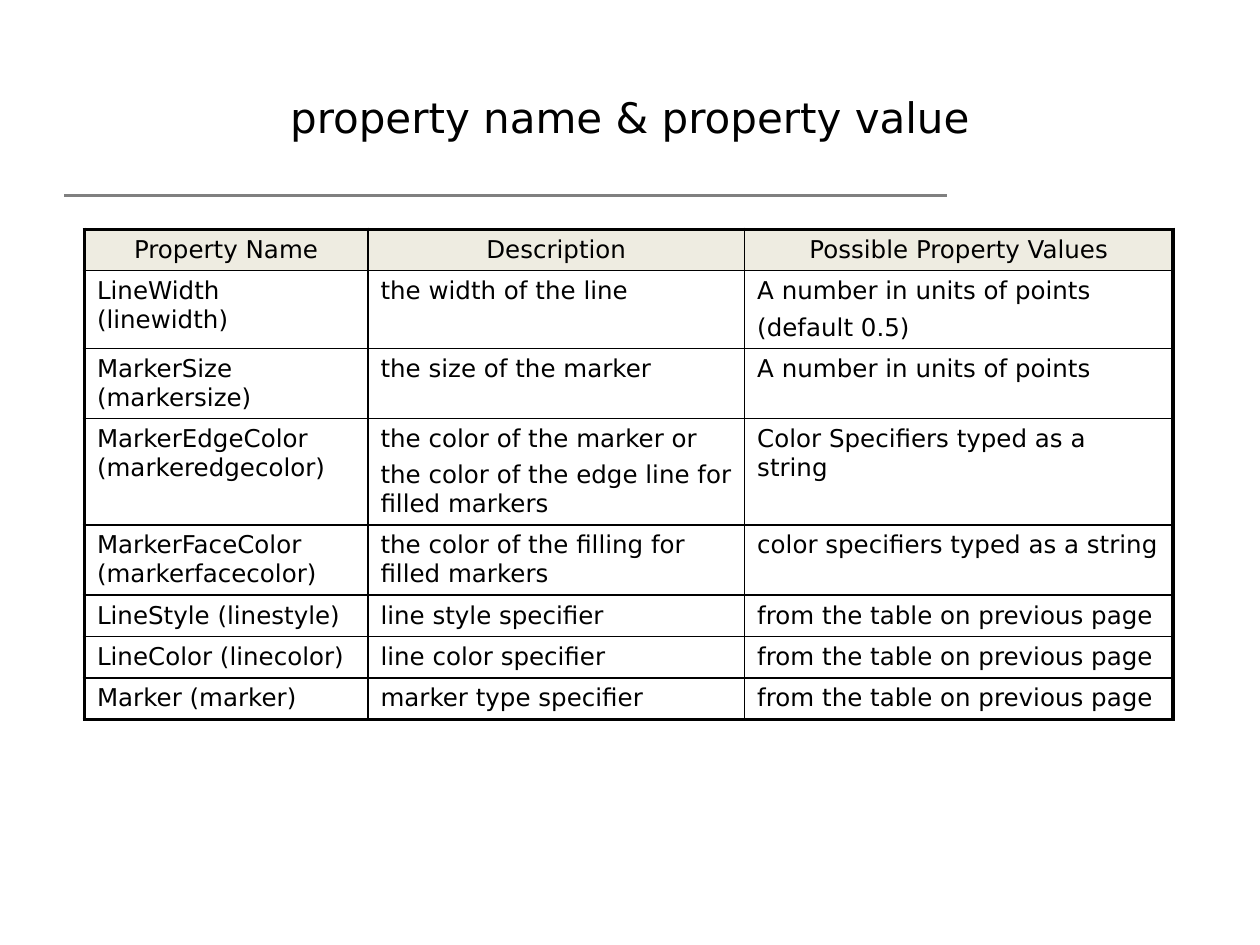
from lxml import etree
from pptx import Presentation
from pptx.dml.color import RGBColor
from pptx.enum.shapes import MSO_CONNECTOR
from pptx.enum.text import MSO_ANCHOR, PP_ALIGN
from pptx.oxml.ns import qn
from pptx.util import Inches, Pt

STRAIGHT = MSO_CONNECTOR.STRAIGHT
MIDDLE = MSO_ANCHOR.MIDDLE
LEFT, CENTER = PP_ALIGN.LEFT, PP_ALIGN.CENTER

FONT = "DejaVu Sans"
BLACK, GRAY, HEADER_FILL = "000000", "808080", "EEECE1"
OUTER_WIDTH, INNER_WIDTH = 2.25, 1
TITLE_ONLY = 5

COLUMN_WIDTHS = [2.25, 2.99, 3.4]
ROW_HEIGHTS = [0.31, 0.59, 0.52, 0.8, 0.52, 0.32, 0.32, 0.32]
PREVIOUS_TABLE = "from the table on previous page"
PROPERTIES = [
    ("Property Name", "Description", "Possible Property Values"),
    ("LineWidth (linewidth)", "the width of the line",
     "A number in units of points\n(default 0.5)"),
    ("MarkerSize (markersize)", "the size of the marker",
     "A number in units of points"),
    ("MarkerEdgeColor (markeredgecolor)",
     "the color of the marker or\nthe color of the edge line for filled markers",
     "Color Specifiers typed as a string"),
    ("MarkerFaceColor (markerfacecolor)",
     "the color of the filling for filled markers",
     "color specifiers typed as a string"),
    ("LineStyle (linestyle)", "line style specifier", PREVIOUS_TABLE),
    ("LineColor (linecolor)", "line color specifier", PREVIOUS_TABLE),
    ("Marker (marker)", "marker type specifier", PREVIOUS_TABLE),
]


def rgb(hex_color):
    return RGBColor.from_string(hex_color)


def write_text(frame, text, size=14, color=BLACK, align=LEFT, space_before=4.2):
    """Fill a text frame, one paragraph per line, with space between paragraphs."""
    frame.text = text
    for index, paragraph in enumerate(frame.paragraphs):
        paragraph.alignment = align
        paragraph.space_before = Pt(space_before if index else 0)
        for run in paragraph.runs:
            run.font.name = FONT
            run.font.size = Pt(size)
            run.font.color.rgb = rgb(color)


def add_title(slide, text):
    title = slide.shapes.title
    title.left, title.top = Inches(0.5), Inches(0.3)
    title.width, title.height = Inches(9), Inches(1.25)
    title.text_frame.vertical_anchor = MIDDLE
    write_text(title.text_frame, text, size=24, align=CENTER)


def add_rule(slide, left, right, y):
    rule = slide.shapes.add_connector(
        STRAIGHT, Inches(left), Inches(y), Inches(right), Inches(y))
    rule.line.color.rgb = rgb(GRAY)
    rule.line.width = Pt(1.75)
    etree.SubElement(rule._element.spPr, qn("a:effectLst"))


def set_borders(cell, outer_sides):
    """Draw all four borders, thicker on the sides at the table's edge."""
    properties = cell._tc.get_or_add_tcPr()
    for side in "LRTB":
        width = OUTER_WIDTH if side in outer_sides else INNER_WIDTH
        border = etree.SubElement(properties, qn(f"a:ln{side}"), w=str(Pt(width)))
        fill = etree.SubElement(border, qn("a:solidFill"))
        etree.SubElement(fill, qn("a:srgbClr"), val=BLACK)


def add_property_table(slide, left, top):
    row_count, column_count = len(PROPERTIES), len(COLUMN_WIDTHS)
    table = slide.shapes.add_table(
        row_count, column_count, Inches(left), Inches(top),
        Inches(sum(COLUMN_WIDTHS)), Inches(sum(ROW_HEIGHTS))).table
    table.first_row = table.horz_banding = False
    for column, width in zip(table.columns, COLUMN_WIDTHS):
        column.width = Inches(width)
    for row, height in zip(table.rows, ROW_HEIGHTS):
        row.height = Inches(height)

    for r, texts in enumerate(PROPERTIES):
        for c, text in enumerate(texts):
            cell = table.cell(r, c)
            edges = {"L": c == 0, "R": c == column_count - 1,
                     "T": r == 0, "B": r == row_count - 1}
            set_borders(cell, [side for side, outer in edges.items() if outer])
            if r == 0:
                cell.fill.solid()
                cell.fill.fore_color.rgb = rgb(HEADER_FILL)
            else:
                cell.fill.background()
            write_text(cell.text_frame, text, align=LEFT if r else CENTER)


def main():
    presentation = Presentation()
    presentation.slide_width = Inches(10)
    presentation.slide_height = Inches(7.5)
    slide = presentation.slides.add_slide(presentation.slide_layouts[TITLE_ONLY])
    add_rule(slide, left=0.51, right=7.52, y=1.55)
    add_title(slide, "property name & property value")
    add_property_table(slide, left=0.67, top=1.82)
    presentation.save("out.pptx")


if __name__ == "__main__":
    main()
